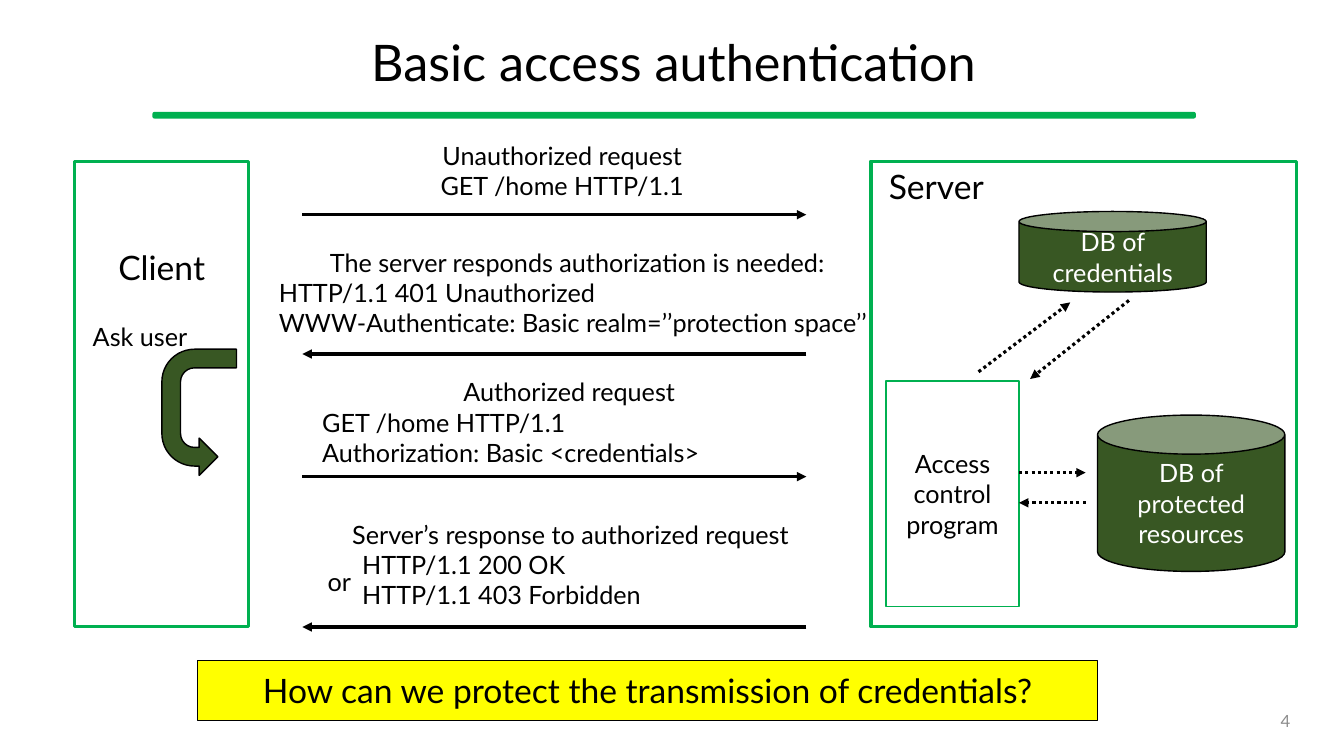
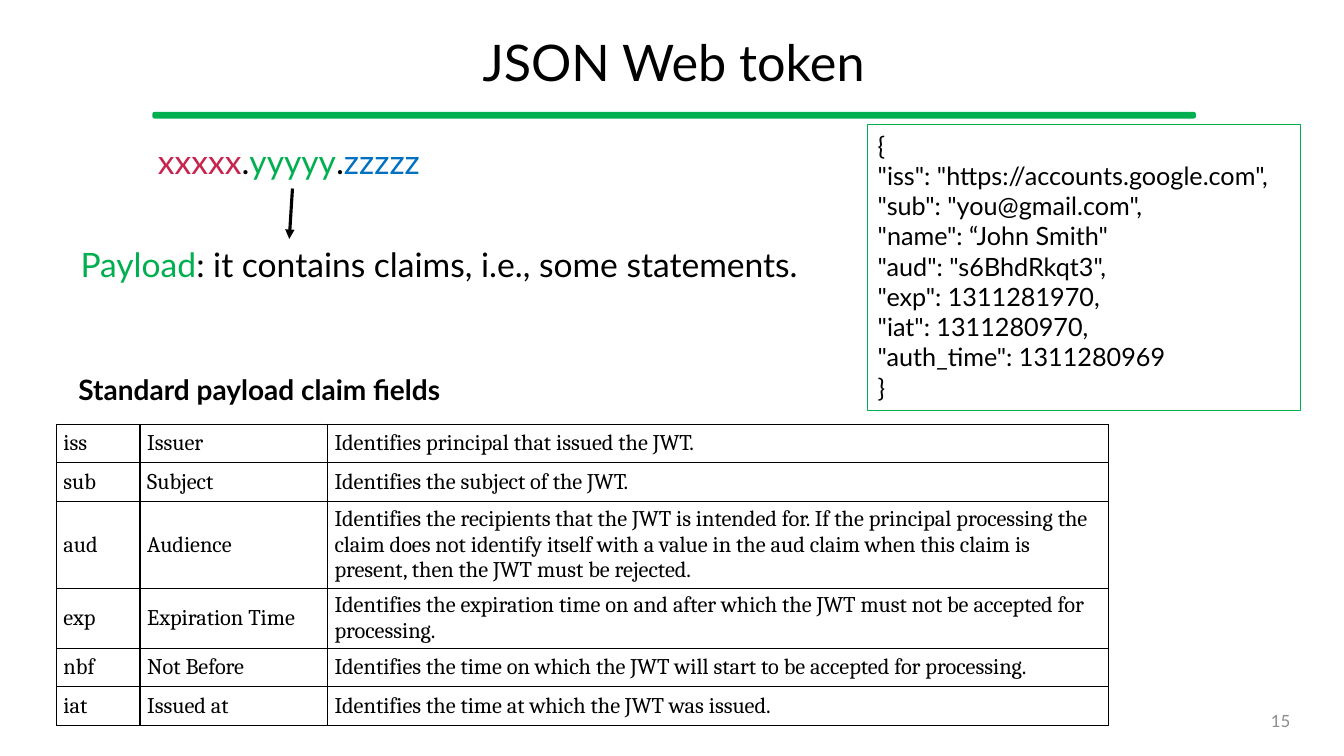
from lxml.etree import SubElement
from pptx import Presentation
from pptx.dml.color import RGBColor
from pptx.enum.dml import MSO_LINE
from pptx.enum.shapes import MSO_CONNECTOR, MSO_SHAPE
from pptx.enum.text import MSO_ANCHOR, PP_ALIGN
from pptx.oxml import parse_xml
from pptx.oxml.ns import nsdecls, qn
from pptx.util import Cm, Pt

COLORS = {
    "black": "000000",
    "white": "FFFFFF",
    "green": "00B050",
    "forest": "385723",
    "yellow": "FFFF00",
    "gray": "8C8C8C",
    "red": "C7254E",
    "blue": "0070C0",
}


def rgb(name):
    return RGBColor.from_string(COLORS[name])


class Deck:
    font = "Lato"
    body_size = 18
    large_size = 24

    def __init__(self):
        self.prs = Presentation()
        self.prs.slide_width = Cm(33.87)
        self.prs.slide_height = Cm(19.05)
        self.s = None

    def slide(self, title, number):
        self.s = self.prs.slides.add_slide(self.prs.slide_layouts[5])
        sp = self.s.shapes.title
        sp.left, sp.top, sp.width, sp.height = Cm(1.19), Cm(0.46), Cm(31.57), Cm(2.39)
        self.set_text(sp.text_frame, [title], 36, align=PP_ALIGN.CENTER,
                      anchor=MSO_ANCHOR.MIDDLE, spacing=0.9)
        rule = self.shape(MSO_SHAPE.ROUNDED_RECTANGLE, 3.86, 2.84, 26.26, 0.13,
                          "green", "green")
        rule.adjustments[0] = 0.26
        self.text([str(number)], 23.93, 17.65, 8.84, 1.02, size=12, color="gray",
                  align=PP_ALIGN.RIGHT, anchor=MSO_ANCHOR.MIDDLE)

    def set_text(self, tf, lines, size=body_size, color="black", align=PP_ALIGN.LEFT,
                 anchor=MSO_ANCHOR.TOP, bold=False, spacing=None, font=None):
        tf.word_wrap = True
        tf.vertical_anchor = anchor
        for i, line in enumerate(lines):
            p = tf.paragraphs[0] if i == 0 else tf.add_paragraph()
            p.alignment = align
            p.line_spacing = spacing
            for text, shade in [(line, color)] if isinstance(line, str) else line:
                r = p.add_run()
                r.text = text
                r.font.name = font or self.font
                r.font.size = Pt(size)
                r.font.bold = bold
                r.font.color.rgb = rgb(shade)

    def text(self, lines, x, y, w, h, **style):
        sp = self.s.shapes.add_textbox(Cm(x), Cm(y), Cm(w), Cm(h))
        self.set_text(sp.text_frame, lines, **style)
        return sp

    def shape(self, kind, x, y, w, h, fill=None, line="black", width=1,
              lines=(), **style):
        sp = self.s.shapes.add_shape(kind, Cm(x), Cm(y), Cm(w), Cm(h))
        sp.shadow.inherit = False
        if fill:
            sp.fill.solid()
            sp.fill.fore_color.rgb = rgb(fill)
        else:
            sp.fill.background()
        sp.line.color.rgb = rgb(line)
        sp.line.width = Pt(width)
        self.set_text(sp.text_frame, lines, **style)
        return sp

    def label(self, kind, text, x, y, w, h, fill, **style):
        return self.shape(kind, x, y, w, h, fill, lines=[text],
                          align=PP_ALIGN.CENTER, anchor=MSO_ANCHOR.MIDDLE, **style)

    def arrow(self, x1, y1, x2, y2, dotted=False):
        c = self.s.shapes.add_connector(MSO_CONNECTOR.STRAIGHT,
                                        Cm(x1), Cm(y1), Cm(x2), Cm(y2))
        c.line.color.rgb = rgb("black")
        c.line.width = Pt(2.25)
        if dotted:
            c.line.dash_style = MSO_LINE.ROUND_DOT
        spPr = c._element.spPr
        SubElement(spPr.find(qn("a:ln")), qn("a:tailEnd"), type="triangle")
        SubElement(spPr, qn("a:effectLst"))

    def message(self, lines, x, y, w, h, arrow_y, to_server, indent=0):
        tf = self.text(lines, x, y, w, h).text_frame
        tf.paragraphs[0].alignment = PP_ALIGN.CENTER
        for p in tf.paragraphs[1:]:
            p._p.get_or_add_pPr().set("marL", str(Cm(indent)))
        client_x, server_x = 7.62, 20.32
        start, end = (client_x, server_x) if to_server else (server_x, client_x)
        self.arrow(start, arrow_y, end, arrow_y)
        return tf

    def table(self, rows, x, y, widths, heights):
        frame = self.s.shapes.add_table(len(rows), len(widths), Cm(x), Cm(y),
                                        Cm(sum(widths)), Cm(sum(heights)))
        table = frame.table
        table.first_row = table.horz_banding = False
        for column, width in zip(table.columns, widths):
            column.width = Cm(width)
        for row, height, texts in zip(table.rows, heights, rows):
            row.height = Cm(height)
            for cell, text in zip(row.cells, texts):
                self.cell(cell, text)

    def cell(self, cell, text):
        self.set_text(cell.text_frame, [text], 16, font="Cambria")
        cell.vertical_anchor = MSO_ANCHOR.MIDDLE
        cell.margin_left = cell.margin_right = Cm(0.18)
        cell.margin_top = cell.margin_bottom = Cm(0.08)
        cell.fill.background()
        tcPr = cell._tc.get_or_add_tcPr()
        for i, side in enumerate("LRTB"):
            tcPr.insert(i, parse_xml(
                f'<a:ln{side} {nsdecls("a")} w="{Pt(1)}"><a:solidFill>'
                f'<a:srgbClr val="{COLORS["black"]}"/></a:solidFill></a:ln{side}>'))


def basic_access(d):
    d.slide("Basic access authentication", 4)
    side = dict(fill="white", line="green", width=2.25, size=d.large_size)
    client = d.shape(MSO_SHAPE.RECTANGLE, 1.88, 4.06, 4.39, 11.73,
                     lines=["Client"], align=PP_ALIGN.CENTER, **side)
    client.text_frame.margin_top = Cm(2.16)
    server = d.shape(MSO_SHAPE.RECTANGLE, 21.95, 4.06, 10.72, 11.73,
                     lines=["Server"], **side)
    server.text_frame.margin_left = Cm(0.45)

    request = d.message(["Unauthorized request", "GET /home HTTP/1.1"],
                        9.98, 3.4, 8.38, 1.8, 5.41, True)
    request.paragraphs[1].alignment = PP_ALIGN.CENTER
    d.message(["The server responds authorization is needed:",
               "HTTP/1.1 401 Unauthorized",
               "WWW-Authenticate: Basic realm=’’protection space’’"],
              6.78, 6.1, 15.54, 2.57, 8.92, False)
    d.message(["Authorized request", "GET /home HTTP/1.1",
               "Authorization: Basic <credentials>"],
              7.87, 9.37, 12.95, 2.57, 12.01, True)
    d.message(["Server’s response to authorized request",
               "HTTP/1.1 200 OK", "HTTP/1.1 403 Forbidden"],
              8.26, 12.95, 12.24, 2.57, 15.8, False, indent=0.62)
    d.text(["or"], 7.75, 14.15, 1.6, 1.02, align=PP_ALIGN.CENTER)

    d.label(MSO_SHAPE.CAN, "DB of credentials", 25.68, 5.33, 4.72, 2.03,
            "forest", color="white")
    d.label(MSO_SHAPE.CAN, "DB of protected resources", 27.66, 10.46, 4.72, 3.94,
            "forest", color="white")
    d.label(MSO_SHAPE.RECTANGLE, "Access control program", 22.33, 9.6, 3.35, 5.69,
            "white", line="green")
    for ends in ((24.66, 9.37, 26.97, 7.62), (28.45, 7.57, 25.96, 9.55),
                 (25.68, 11.91, 27.36, 11.91), (27.36, 12.67, 25.68, 12.67)):
        d.arrow(*ends, dotted=True)

    turn = d.shape(MSO_SHAPE.U_TURN_ARROW, 3.43, 9.45, 3.18, 1.88, "forest")
    turn.rotation = 90
    turn._element.spPr.xfrm.set("flipV", "1")
    d.text(["Ask user"], 1.88, 7.98, 3.3, 1.02, align=PP_ALIGN.CENTER)
    d.label(MSO_SHAPE.RECTANGLE, "How can we protect the transmission of credentials?",
            4.98, 16.64, 22.68, 1.52, "yellow", size=d.large_size)


def web_token(d):
    d.slide("JSON Web token", 15)
    d.text([[("xxxxx", "red"), (".", "black"), ("yyyyy", "green"),
             (".", "black"), ("zzzzz", "blue")]],
           3.73, 3.53, 12, 1.27, size=d.large_size, spacing=0.9)
    d.text([[("Payload", "green"),
             (": it contains claims, i.e., some statements.", "black")]],
           1.78, 6.02, 19.8, 1.27, size=d.large_size)
    d.arrow(7.37, 4.75, 7.29, 6.02)
    d.table([
        ("iss", "Issuer", "Identifies principal that issued the JWT."),
        ("sub", "Subject", "Identifies the subject of the JWT."),
        ("aud", "Audience",
         "Identifies the recipients that the JWT is intended for. If the principal "
         "processing the claim does not identify itself with a value in the aud claim "
         "when this claim is present, then the JWT must be rejected."),
        ("exp", "Expiration Time",
         "Identifies the expiration time on and after which the JWT must not be "
         "accepted for processing."),
        ("nbf", "Not Before",
         "Identifies the time on which the JWT will start to be accepted for "
         "processing."),
        ("iat", "Issued at", "Identifies the time at which the JWT was issued."),
    ], 1.42, 10.69, (2.11, 4.72, 19.69), (0.97, 0.97, 2.06, 1.42, 0.97, 0.97))
    d.text(["Standard payload claim fields"], 0, 9.25, 13.08, 1.12, size=20,
           bold=True, align=PP_ALIGN.CENTER)
    d.shape(MSO_SHAPE.RECTANGLE, 21.87, 3.15, 10.9, 7.19, line="green", width=0.75,
            lines=['{',
                   '"iss": "https://accounts.google.com",',
                   '"sub": "you@gmail.com",',
                   '"name": “John Smith"',
                   '"aud": "s6BhdRkqt3",',
                   '"exp": 1311281970,',
                   '"iat": 1311280970,',
                   '"auth_time": 1311280969',
                   '}'])


def main():
    d = Deck()
    basic_access(d)
    web_token(d)
    d.prs.save("out.pptx")


if __name__ == "__main__":
    main()
